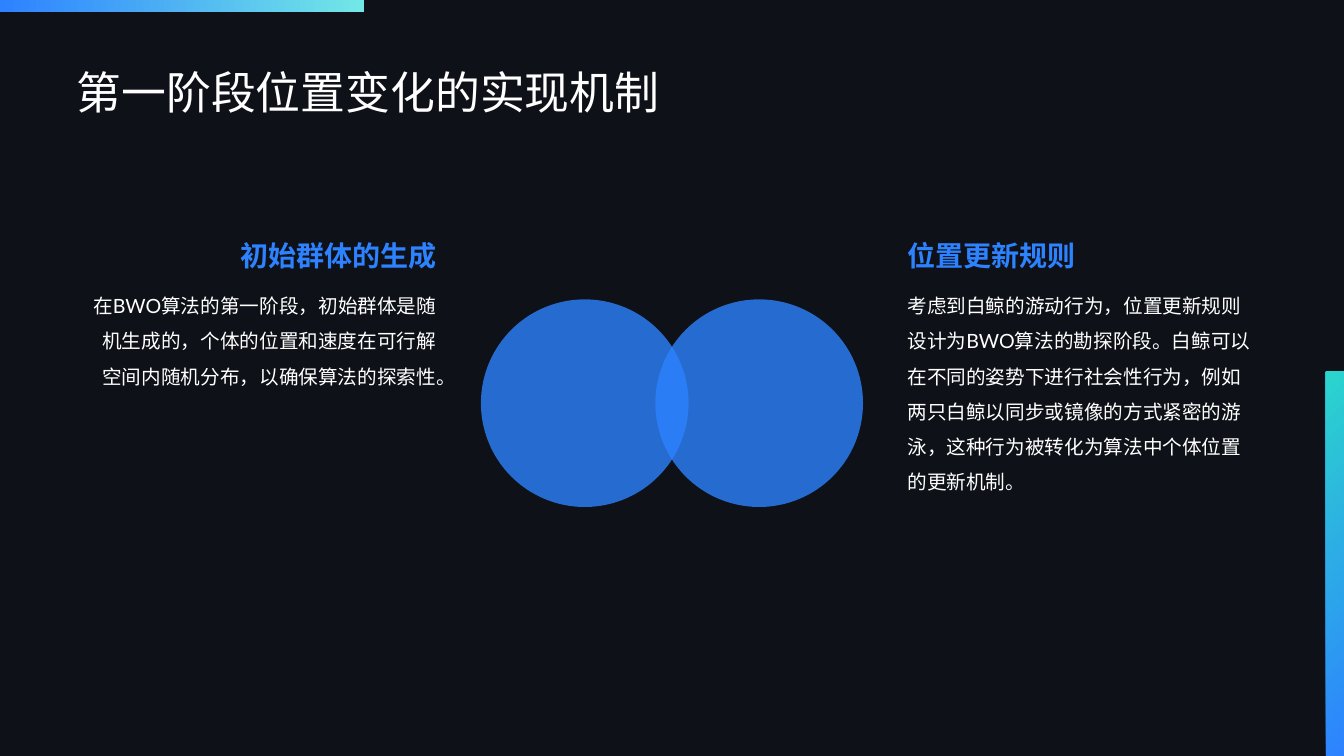
from pptx import Presentation
from pptx.dml.color import RGBColor
from pptx.enum.shapes import MSO_SHAPE
from pptx.enum.text import MSO_ANCHOR, PP_ALIGN
from pptx.oxml.ns import qn
from pptx.util import Inches, Pt
from lxml import etree

BLUE, WHITE, DARK = "2D82FF", "FFFFFF", "0E1117"


def color(code):
    return RGBColor.from_string(code)


def add_shape(slide, kind, *box):
    shape = slide.shapes.add_shape(kind, *map(Inches, box))
    shape.shadow.inherit = False
    shape.line.fill.background()
    return shape


def add_bar(slide, box, end, angle):
    """Bar with a gradient from blue to the end colour."""
    fill = add_shape(slide, MSO_SHAPE.RECTANGLE, *box).fill
    fill.gradient()
    fill.gradient_angle = angle
    for stop, place, code in zip(fill.gradient_stops, (0, 1), (BLUE, end)):
        stop.position = place
        stop.color.rgb = color(code)


def add_circle(slide, left):
    """Blue circle at 80 % opacity."""
    fill = add_shape(slide, MSO_SHAPE.OVAL, left, 2.97, 2.06, 2.06).fill
    fill.solid()
    fill.fore_color.rgb = color(BLUE)
    tint = fill._xPr.find(qn("a:solidFill"))[0]
    etree.SubElement(tint, qn("a:alpha")).set("val", "80000")


def add_text(slide, box, text, size, code=WHITE, bold=False,
             align=PP_ALIGN.LEFT, anchor=MSO_ANCHOR.BOTTOM, space=1.0):
    frame = slide.shapes.add_textbox(*map(Inches, box)).text_frame
    frame.word_wrap = True
    frame.vertical_anchor = anchor
    frame.margin_left = frame.margin_right = 0
    frame.margin_top = frame.margin_bottom = 0
    para = frame.paragraphs[0]
    para.alignment = align
    para.line_spacing = space
    run = para.add_run()
    run.text = text
    run.font.name = "Lato"
    run.font.size = Pt(size)
    run.font.bold = bold
    run.font.color.rgb = color(code)


def add_column(slide, left, align, head, body):
    """Blue heading with a paragraph below it."""
    add_text(slide, (left, 2.8, 3.5, 3.58), body, 14, align=align,
             anchor=MSO_ANCHOR.TOP, space=1.5)
    add_text(slide, (left, 2.3, 3.5, 0.4), head, 20, BLUE, True, align)


def main():
    deck = Presentation()
    deck.slide_width, deck.slide_height = Inches(13.33), Inches(7.5)
    slide = deck.slides.add_slide(deck.slide_layouts[6])

    # Backdrop and edge bars
    slide.background.fill.solid()
    slide.background.fill.fore_color.rgb = color(DARK)
    add_bar(slide, (0, 0, 3.61, 0.12), "72E7E7", 0)
    add_bar(slide, (13.15, 3.69, 0.18, 3.81), "2BD4CD", 135)

    # Title
    add_text(slide, (0.76, 0.39, 11.81, 0.79),
             "第一阶段位置变化的实现机制", 32, space=0.9)

    # Overlapping circles
    for left in (6.5, 4.77):
        add_circle(slide, left)

    # Text on both sides
    add_column(slide, 9, PP_ALIGN.LEFT, "位置更新规则",
               "考虑到白鲸的游动行为，位置更新规则设计为BWO算法的勘探阶段。"
               "白鲸可以在不同的姿势下进行社会性行为，例如两只白鲸以同步或"
               "镜像的方式紧密的游泳，这种行为被转化为算法中个体位置的更新机制。")
    add_column(slide, 0.83, PP_ALIGN.RIGHT, "初始群体的生成",
               "在BWO算法的第一阶段，初始群体是随机生成的，个体的位置和速度"
               "在可行解空间内随机分布，以确保算法的探索性。")

    deck.save("out.pptx")


if __name__ == "__main__":
    main()
